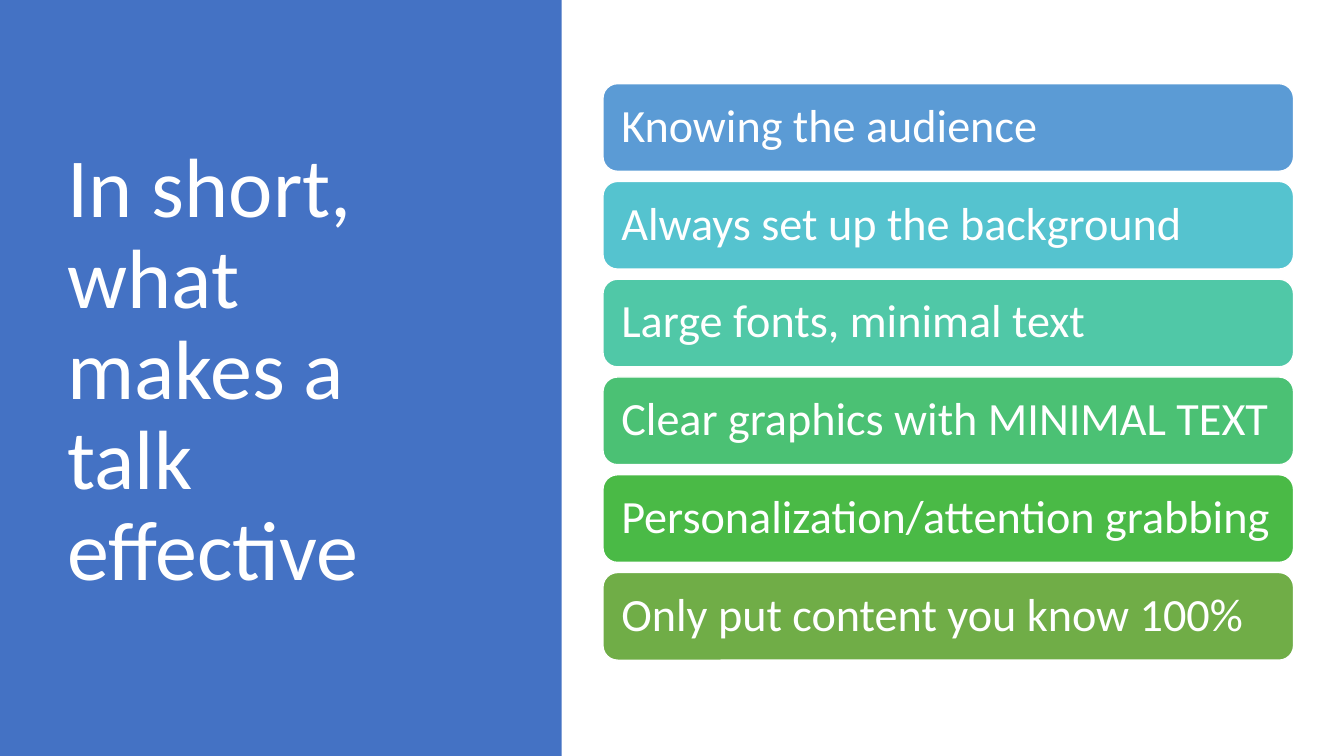
from dataclasses import dataclass

from pptx import Presentation
from pptx.dml.color import RGBColor
from pptx.enum import shapes, text
from pptx.util import Inches, Pt


@dataclass(frozen=True)
class Theme:
    font: str = "Calibri"
    white: str = "FFFFFF"
    panel: str = "4472C4"
    title_size: int = 60
    bar_size: int = 33
    line_spacing: float = 0.9


BARS = [
    ("Knowing the audience", "5B9BD5"),
    ("Always set up the background", "55C3CF"),
    ("Large fonts, minimal text", "50C8A7"),
    ("Clear graphics with MINIMAL TEXT", "4BC174"),
    ("Personalization/attention grabbing", "4ABA46"),
    ("Only put content you know 100%", "70AD47"),
]
BAR_LEFT, BAR_TOP, BAR_WIDTH, BAR_HEIGHT = 5.98, 0.83, 6.85, 0.87
BAR_PITCH = 0.97


def set_text(frame, content, *, font, size, color, spacing, inset=(0.1, 0.05)):
    """Fill a text frame with one left-aligned, vertically centred paragraph."""
    frame.word_wrap = True
    frame.auto_size = text.MSO_AUTO_SIZE.NONE
    frame.vertical_anchor = text.MSO_ANCHOR.MIDDLE
    frame.margin_left = frame.margin_right = Inches(inset[0])
    frame.margin_top = frame.margin_bottom = Inches(inset[1])
    para = frame.paragraphs[0]
    para.alignment = text.PP_ALIGN.LEFT
    para.line_spacing = spacing
    span = para.add_run()
    span.text = content
    span.font.name = font
    span.font.size = Pt(size)
    span.font.color.rgb = RGBColor.from_string(color)


class PageBuilder:
    def __init__(self, page, theme):
        self.page = page
        self.theme = theme

    def label(self, box, content, size, **options):
        set_text(box.text_frame, content, font=self.theme.font, size=size,
                 color=self.theme.white, spacing=self.theme.line_spacing, **options)

    def block(self, kind, left, top, width, height, fill):
        box = self.page.shapes.add_shape(
            kind, Inches(left), Inches(top), Inches(width), Inches(height))
        box.shadow.inherit = False
        box.fill.solid()
        box.fill.fore_color.rgb = RGBColor.from_string(fill)
        box.line.fill.background()
        return box

    def panel(self, left, top, width, height):
        """Add the coloured side panel behind the title."""
        box = self.block(shapes.MSO_SHAPE.RECTANGLE, left, top, width, height,
                         self.theme.panel)
        self.page.shapes.title.element.addprevious(box.element)

    def title(self, content, left, top, width, height):
        box = self.page.shapes.title
        box.left, box.top = Inches(left), Inches(top)
        box.width, box.height = Inches(width), Inches(height)
        self.label(box, content, self.theme.title_size)

    def bar(self, content, left, top, width, height, fill):
        box = self.block(shapes.MSO_SHAPE.ROUNDED_RECTANGLE, left, top, width,
                         height, fill)
        box.line.color.rgb = RGBColor.from_string(self.theme.white)
        box.line.width = Pt(1)
        self.label(box, content, self.theme.bar_size, inset=(0.14, 0.14))


def main():
    deck = Presentation()
    deck.slide_width, deck.slide_height = Inches(13.33), Inches(7.5)
    title_only = deck.slide_layouts.get_by_name("Title Only")
    builder = PageBuilder(deck.slides.add_slide(title_only), Theme())

    builder.panel(0, 0, 5.57, 7.5)
    builder.title("In short, what makes a talk effective", 0.57, 0.68, 4.16, 6.02)
    for row, (content, fill) in enumerate(BARS):
        builder.bar(content, BAR_LEFT, BAR_TOP + row * BAR_PITCH,
                    BAR_WIDTH, BAR_HEIGHT, fill)

    deck.save("out.pptx")


if __name__ == "__main__":
    main()
